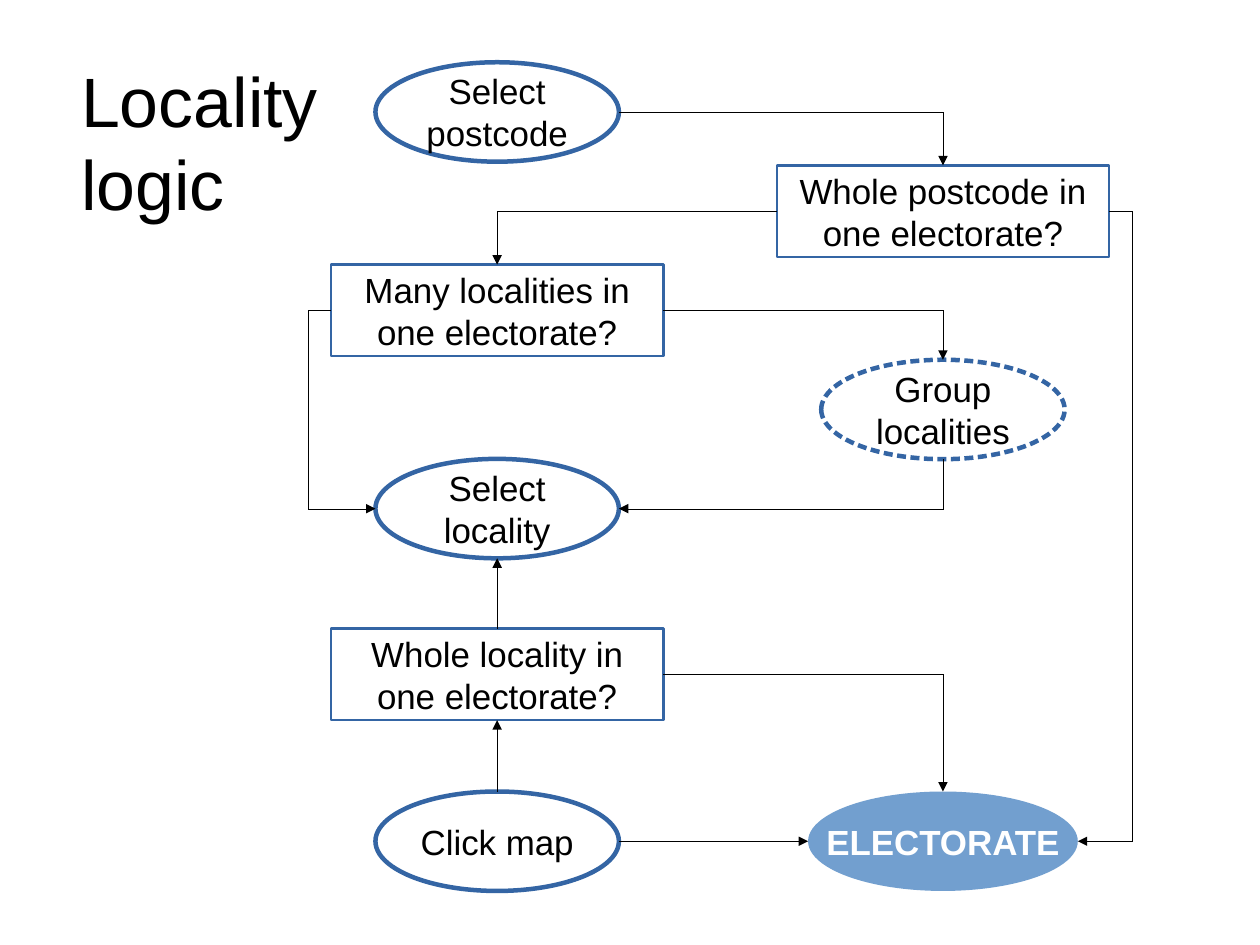
from pptx import Presentation
from pptx.dml.color import RGBColor
from pptx.enum.shapes import MSO_CONNECTOR as Conn, MSO_SHAPE as Shape
from pptx.enum.text import MSO_ANCHOR as Anchor, PP_ALIGN as Align
from pptx.oxml.ns import qn
from pptx.util import Cm, Inches, Pt
from lxml.etree import SubElement

BLUE, PALE, BLACK, WHITE = "3465A4", "729FCF", "000000", "FFFFFF"
LEFT, RIGHT = 4.35, 8.25
# Five close rows, then two wider ones
ROWS = [0.98 + 3.47 * i / 4 for i in range(5)] + [5.9, 7.36]


def color(code):
    return RGBColor.from_string(code)


def write(shape, text, size, ink=BLACK, bold=False, align=Align.CENTER,
          pad=(0.12, 0.07), wrap=True):
    frame = shape.text_frame
    frame.word_wrap = wrap
    frame.vertical_anchor = Anchor.MIDDLE
    frame.margin_left = frame.margin_right = Inches(pad[0])
    frame.margin_top = frame.margin_bottom = Inches(pad[1])
    para = frame.paragraphs[0]
    para.text = text
    para.alignment = align
    for run in para.runs:
        run.font.name = "Arial"
        run.font.size = Pt(size)
        run.font.bold = bold
        run.font.color.rgb = color(ink)


def node(slide, kind, x, row, width, height):
    """Add a plain shape centred on column x and the given row."""
    shape = slide.shapes.add_shape(
        kind, Inches(x - width / 2), Inches(ROWS[row] - height / 2),
        Inches(width), Inches(height))
    shape.shadow.inherit = False
    return shape


def check(slide, text, x, row):
    shape = node(slide, Shape.RECTANGLE, x, row, 2.91, 0.8)
    shape.fill.background()
    shape.line.color.rgb = color(BLUE)
    shape.line.width = Pt(1.42)
    write(shape, text, 22, pad=(0.11, 0.06))
    return shape


def step(slide, text, x, row, dashed=False):
    shape = node(slide, Shape.OVAL, x, row, 2.13, 0.87)
    shape.fill.solid()
    shape.fill.fore_color.rgb = color(WHITE)
    shape.line.color.rgb = color(BLUE)
    shape.line.width = Pt(2.83)
    if dashed:
        edge = shape._element.spPr.find(qn("a:ln"))
        dash = SubElement(edge, qn("a:custDash"))
        SubElement(dash, qn("a:ds"), d="200000", sp="100000")
    write(shape, text, 22, wrap=False)
    return shape


def goal(slide, text, x, row):
    shape = node(slide, Shape.OVAL, x, row, 2.36, 0.87)
    shape.fill.solid()
    shape.fill.fore_color.rgb = color(PALE)
    shape.line.fill.background()
    write(shape, text, 22, ink=WHITE, bold=True, wrap=False)
    return shape


def site(shape, side):
    """Return the middle of one side: l, r, t or b."""
    dx, dy = {"l": (0, 1), "r": (2, 1), "t": (1, 0), "b": (1, 2)}[side]
    return (shape.left + shape.width * dx // 2,
            shape.top + shape.height * dy // 2)


def link(slide, start, out, end, into, kind=Conn.ELBOW, bend=None, tip="tailEnd"):
    """Join two sides; an elbow has one corner, or two if bend is given."""
    line = slide.shapes.add_connector(kind, *site(start, out), *site(end, into))
    line.line.color.rgb = color(BLACK)
    props = line._element.spPr
    edge = props.find(qn("a:ln"))
    edge.set("w", "0")
    SubElement(edge, qn("a:" + tip), type="triangle")
    SubElement(props, qn("a:effectLst"))
    if kind == Conn.ELBOW:
        geom = props.find(qn("a:prstGeom"))
        if bend is None:
            geom.set("prst", "bentConnector2")
        else:
            share = round(Inches(bend) / line.width * 100000)
            guides = geom.get_or_add_avLst()
            SubElement(guides, qn("a:gd"), name="adj1", fmla=f"val {share}")


def main():
    deck = Presentation()
    deck.slide_width, deck.slide_height = Cm(28), Cm(21)
    slide = deck.slides.add_slide(deck.slide_layouts[6])

    title = slide.shapes.add_textbox(
        Inches(0.71), Inches(0.55), Inches(2.44), Inches(1.37))
    write(title, "Locality\nlogic", 44, align=Align.LEFT, pad=(0, 0))

    postcode = step(slide, "Select\npostcode", LEFT, 0)
    whole = check(slide, "Whole postcode in one electorate?", RIGHT, 1)
    many = check(slide, "Many localities in one electorate?", LEFT, 2)
    group = step(slide, "Group\nlocalities", RIGHT, 3, dashed=True)
    local = step(slide, "Select\nlocality", LEFT, 4)
    single = check(slide, "Whole locality in one electorate?", LEFT, 5)
    click = step(slide, "Click map", LEFT, 6)
    seat = goal(slide, "ELECTORATE", RIGHT, 6)

    link(slide, postcode, "r", whole, "t")
    link(slide, whole, "l", many, "t")
    link(slide, many, "r", group, "t")
    link(slide, single, "r", seat, "t")
    link(slide, local, "r", group, "b", tip="headEnd")
    link(slide, whole, "r", seat, "r", bend=0.2 * -1)
    link(slide, many, "l", local, "l", bend=-0.2)
    link(slide, single, "t", local, "b", Conn.STRAIGHT)
    link(slide, click, "t", single, "b", Conn.STRAIGHT)
    link(slide, click, "r", seat, "l", Conn.STRAIGHT)

    deck.save("out.pptx")


if __name__ == "__main__":
    main()
